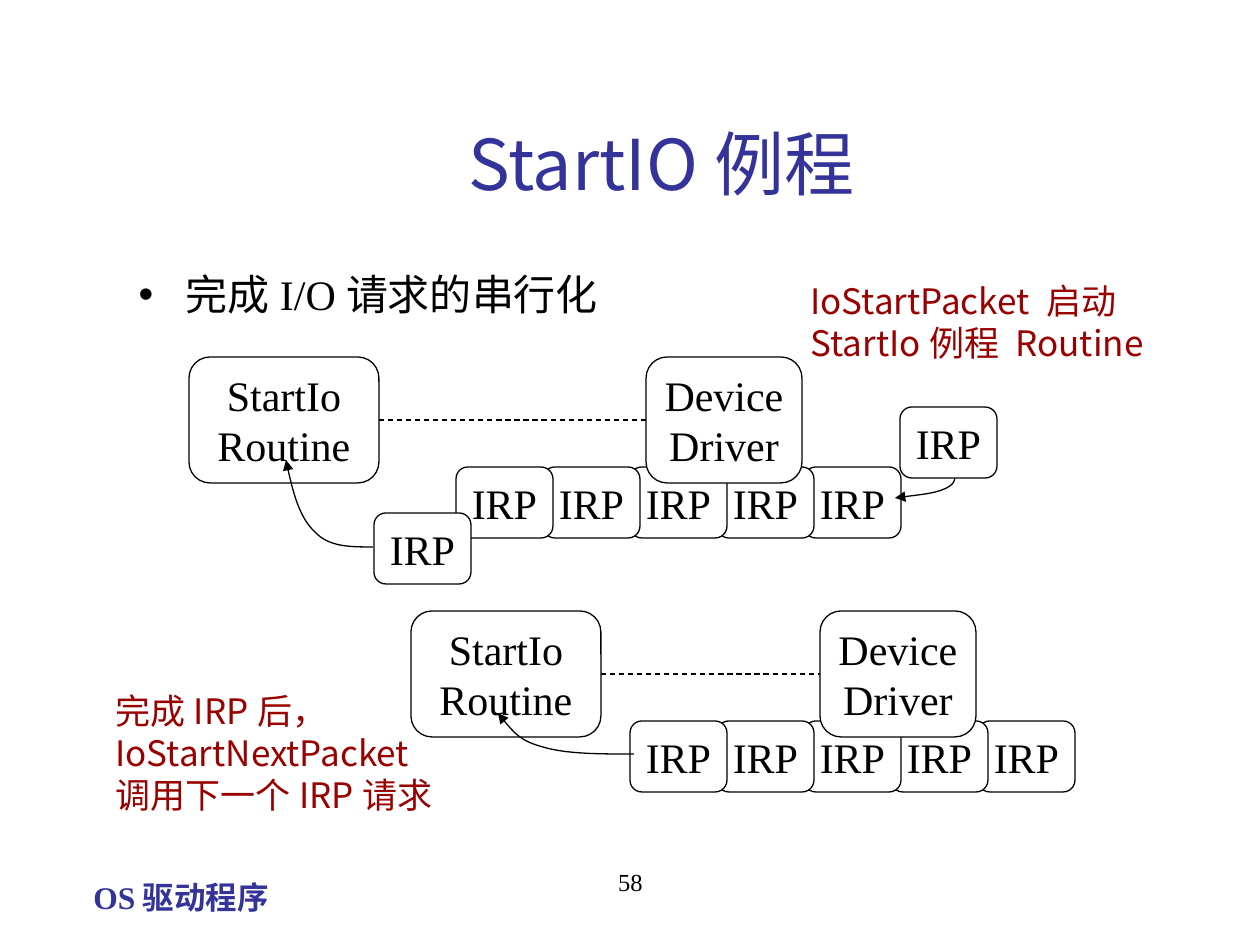
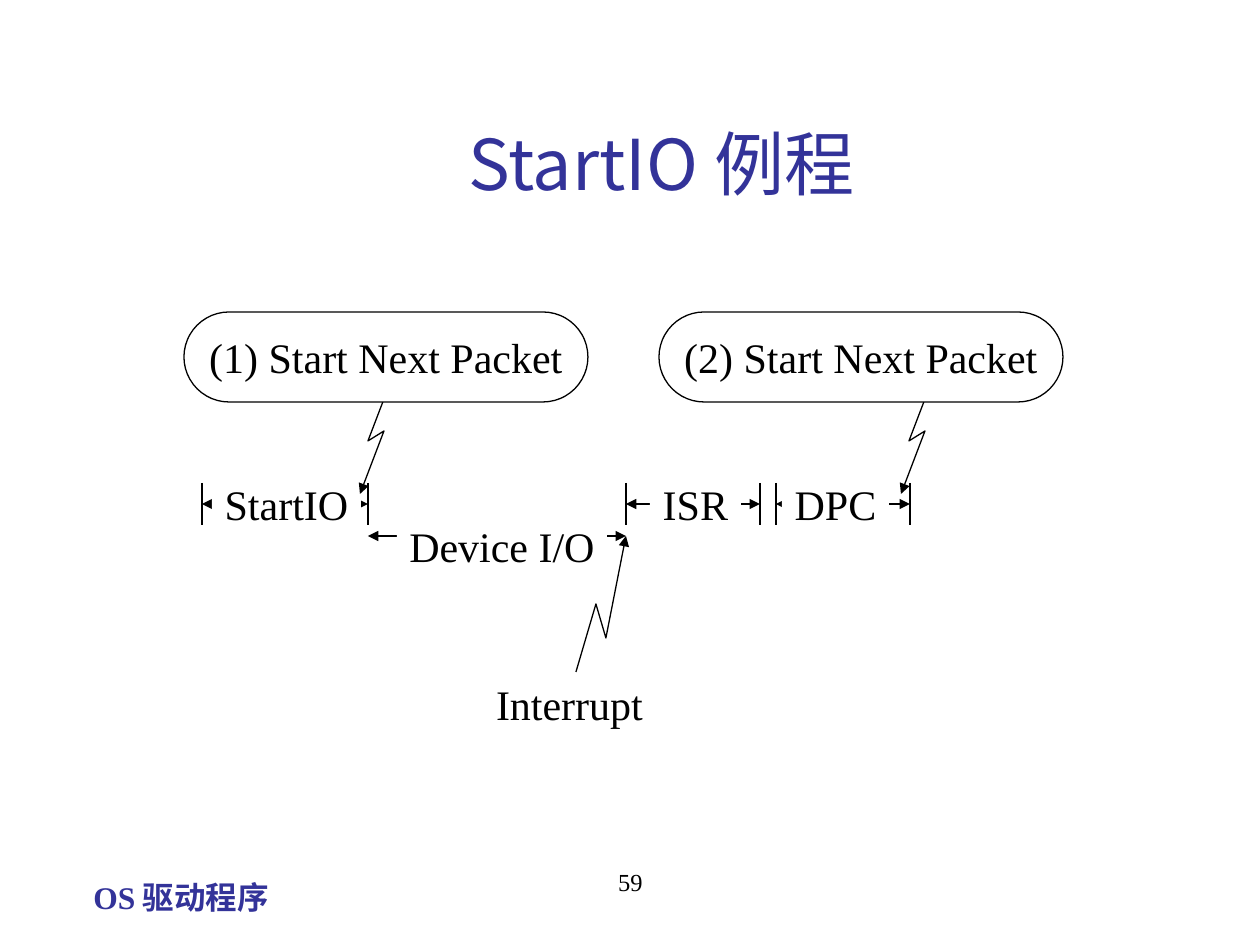
"""Build two slides on serialising I/O requests with the StartIO routine."""
from dataclasses import dataclass

from lxml.etree import SubElement
from pptx import Presentation
from pptx.dml.color import RGBColor
from pptx.enum.dml import MSO_LINE
from pptx.enum.shapes import MSO_CONNECTOR, MSO_SHAPE
from pptx.enum.text import MSO_ANCHOR, MSO_AUTO_SIZE, PP_ALIGN
from pptx.oxml.ns import qn
from pptx.util import Inches, Pt

SCALE = Inches(1) / 126


@dataclass(frozen=True)
class Theme:
    serif: str = "Times New Roman"
    sans: str = "Noto Sans CJK SC"
    ink: str = "000000"
    paper: str = "FFFFFF"
    heading: str = "333399"
    remark: str = "990000"
    line: float = 0.75
    title_size: int = 40
    body_size: int = 24
    remark_size: int = 20
    footer_size: int = 18
    number_size: int = 14


THEME = Theme()
STYLES = {
    "title": ({"size": Pt(THEME.title_size), "name": THEME.sans}, THEME.heading),
    "title_tail": ({"size": Pt(THEME.title_size), "name": THEME.serif}, THEME.heading),
    "body": ({"size": Pt(THEME.body_size), "name": THEME.serif}, THEME.ink),
    "remark": ({"size": Pt(THEME.remark_size), "name": THEME.sans}, THEME.remark),
    "footer": ({"size": Pt(THEME.footer_size), "name": THEME.serif, "bold": True},
               THEME.heading),
    "number": ({"size": Pt(THEME.number_size), "name": THEME.serif}, THEME.ink),
}

TITLE = (("StartIO", "title"), ("例程", "title_tail"))
TITLE_AREA = (126, 84, 1071, 158)
BODY_AREA = (126, 262, 1040, 577)
FOOTER = ("OS驱动程序", (81, 872, 202, 50))
NUMBER_AREA = (431, 861, 399, 63)

SUMMARY = "完成I/O请求的串行化"
IRP_SIZE = (97, 71)
QUEUE_LENGTH, QUEUE_STEP = 5, 87
ROUTINE_SIZE, DRIVER_SIZE = (190, 126), (156, 126)
STAGES = (
    {
        "queue": (456, 467), "leaving": (374, 513), "arriving": (900, 407),
        "arrival": ((950, 460), (954, 470), (959, 480), (950, 486),
                    (940, 493), (917, 495), (895, 498)),
        "driver": (646, 357), "routine": (189, 357),
        "start": ((373, 547), (350, 547), (329, 547), (315, 532),
                  (300, 518), (292, 489), (286, 460)),
    },
    {
        "queue": (630, 721), "driver": (820, 611), "routine": (411, 611),
        "start": ((634, 754), (600, 754), (566, 754), (543, 747),
                  (520, 741), (509, 727), (498, 713)),
    },
)
REMARKS = (
    ("IoStartPacket 启动 StartIo例程 Routine", (798, 273, 378, 139)),
    ("完成IRP后，IoStartNextPacket\n调用下一个IRP请求", (103, 683, 348, 223)),
)

PACKETS = (("(1) Start Next Packet", 184), ("(2) Start Next Packet", 659))
PACKET_TOP, PACKET_SIZE = 312, (404, 90)
TICK_TOP, TICK_BOTTOM, AXIS = 483, 525, 504
PHASES = (
    ("StartIO", 202, 368, 212, 149),
    ("ISR", 626, 760, 650, 91),
    ("DPC", 776, 910, 782, 107),
)
LABEL_HEIGHT = 63
DEVICE_AXIS, DEVICE_LABEL = 536, ("Device I/O", (397, 514, 210, LABEL_HEIGHT))
INTERRUPT = ("Interrupt", (484, 672, 171, LABEL_HEIGHT))
INTERRUPT_BOLT = ((576, 672), (596, 604), (606, 638), (626, 536))
PACKET_BOLT = ((384, 399), (368, 441), (384, 431), (360, 494))
BOLT_SHIFTS = (0, 541)


def emu(*lengths):
    return [round(length * SCALE) for length in lengths]


def add_span(para, text, style):
    span = para.add_run()
    span.text = text
    formats, color = STYLES[style]
    for name, value in formats.items():
        setattr(span.font, name, value)
    span.font.color.rgb = RGBColor.from_string(color)
    SubElement(span.font._element, qn("a:ea"), typeface=THEME.sans)


def write(frame, text, style, **options):
    settings = {"word_wrap": True, "auto_size": MSO_AUTO_SIZE.NONE,
                "vertical_anchor": MSO_ANCHOR.TOP, **options}
    align = settings.pop("align", PP_ALIGN.LEFT)
    for name, value in settings.items():
        setattr(frame, name, value)
    for index, line in enumerate(text.split("\n")):
        para = frame.add_paragraph() if index else frame.paragraphs[0]
        para.alignment = align
        add_span(para, line, style)


def place(box, area):
    for name, value in zip(("left", "top", "width", "height"), emu(*area)):
        setattr(box, name, value)


def add_text(page, text, area, style, **options):
    box = page.shapes.add_textbox(*emu(*area))
    write(box.text_frame, text, style, **options)
    return box


def draw_line(line, heads=()):
    line.color.rgb = RGBColor.from_string(THEME.ink)
    line.width = Pt(THEME.line)
    for end in heads:
        SubElement(line._get_or_add_ln(), qn(f"a:{end}"), type="triangle")


def add_box(page, text, area, rounding=0.167, wrap=False):
    kind = MSO_SHAPE.ROUNDED_RECTANGLE if rounding else MSO_SHAPE.RECTANGLE
    box = page.shapes.add_shape(kind, *emu(*area))
    box.shadow.inherit = False
    box.fill.solid()
    box.fill.fore_color.rgb = RGBColor.from_string(THEME.paper)
    if rounding:
        box.adjustments[0] = rounding
        draw_line(box.line)
    else:
        box.line.fill.background()
    write(box.text_frame, text, "body", word_wrap=wrap, align=PP_ALIGN.CENTER,
          vertical_anchor=MSO_ANCHOR.MIDDLE)
    return box


def add_line(page, start, end, heads=()):
    line = page.shapes.add_connector(MSO_CONNECTOR.STRAIGHT, *emu(*start, *end))
    SubElement(line._element.spPr, qn("a:effectLst"))
    draw_line(line.line, heads)
    return line


def add_arrow(page, points, curved=False):
    builder = page.shapes.build_freeform(*points[0], scale=SCALE)
    builder.add_line_segments(points[1:], close=False)
    arrow = builder.convert_to_shape()
    arrow.shadow.inherit = False
    arrow.fill.background()
    draw_line(arrow.line, ("tailEnd",))
    if curved:
        outline = next(arrow._element.iter(qn("a:path")))
        segments = outline.findall(qn("a:lnTo"))
        for first in range(0, len(segments), 3):
            curve = SubElement(outline, qn("a:cubicBezTo"))
            for segment in segments[first:first + 3]:
                curve.append(segment[0])
                outline.remove(segment)


def add_page(deck, layout, number):
    page = deck.slides.add_slide(deck.slide_layouts[layout])
    title = page.shapes.title
    place(title, TITLE_AREA)
    title.text_frame.vertical_anchor = MSO_ANCHOR.MIDDLE
    title.text_frame.auto_size = MSO_AUTO_SIZE.NONE
    title.text_frame.paragraphs[0].alignment = PP_ALIGN.CENTER
    for text, style in TITLE:
        add_span(title.text_frame.paragraphs[0], text, style)
    add_text(page, str(number), NUMBER_AREA, "number", align=PP_ALIGN.CENTER)
    return page


def add_stage(page, stage):
    left, top = stage["queue"]
    for index in reversed(range(QUEUE_LENGTH)):
        add_box(page, "IRP", (left + index * QUEUE_STEP, top, *IRP_SIZE))
    if "arrival" in stage:
        add_box(page, "IRP", (*stage["leaving"], *IRP_SIZE))
        add_arrow(page, stage["arrival"], curved=True)
        add_box(page, "IRP", (*stage["arriving"], *IRP_SIZE))
    driver = add_box(page, "Device\nDriver", (*stage["driver"], *DRIVER_SIZE))
    routine = add_box(page, "StartIo Routine", (*stage["routine"], *ROUTINE_SIZE), wrap=True)
    link = add_line(page, stage["routine"], stage["driver"])
    link.line.dash_style = MSO_LINE.DASH
    link.begin_connect(routine, 3)
    link.end_connect(driver, 1)
    add_arrow(page, stage["start"], curved=True)


def build_queue_page(deck):
    page = add_page(deck, 1, 58)
    body = page.placeholders[1]
    place(body, BODY_AREA)
    write(body.text_frame, SUMMARY, "body")
    body.text_frame.paragraphs[0].space_before = Pt(0)
    for stage in STAGES:
        add_stage(page, stage)
    for text, area in REMARKS:
        add_text(page, text, area, "remark")
    return page


def build_timeline_page(deck):
    page = add_page(deck, 5, 59)
    both = ("headEnd", "tailEnd")
    add_text(page, *INTERRUPT, "body", word_wrap=False, align=PP_ALIGN.CENTER,
             vertical_anchor=MSO_ANCHOR.MIDDLE)
    for text, start, end, label_left, label_width in PHASES:
        for tick in (start, end):
            add_line(page, (tick, TICK_TOP), (tick, TICK_BOTTOM))
        add_line(page, (start, AXIS), (end, AXIS), both)
        label_area = (label_left, AXIS - LABEL_HEIGHT / 2, label_width, LABEL_HEIGHT)
        add_box(page, text, label_area, rounding=0)
    device_start, device_end = PHASES[0][2], PHASES[1][1]
    add_line(page, (device_start, DEVICE_AXIS), (device_end, DEVICE_AXIS), both)
    add_box(page, *DEVICE_LABEL, rounding=0)
    add_arrow(page, INTERRUPT_BOLT)
    for shift in BOLT_SHIFTS:
        add_arrow(page, [(x + shift, y) for x, y in PACKET_BOLT])
    for text, left in PACKETS:
        add_box(page, text, (left, PACKET_TOP, *PACKET_SIZE), rounding=0.5)


def main():
    deck = Presentation()
    deck.slide_width, deck.slide_height = emu(1260, 945)
    page = build_queue_page(deck)
    footer = add_text(page, *FOOTER, "footer", word_wrap=False)
    deck.slide_master.shapes._spTree.append(footer._element)
    build_timeline_page(deck)
    deck.save("out.pptx")


if __name__ == "__main__":
    main()
